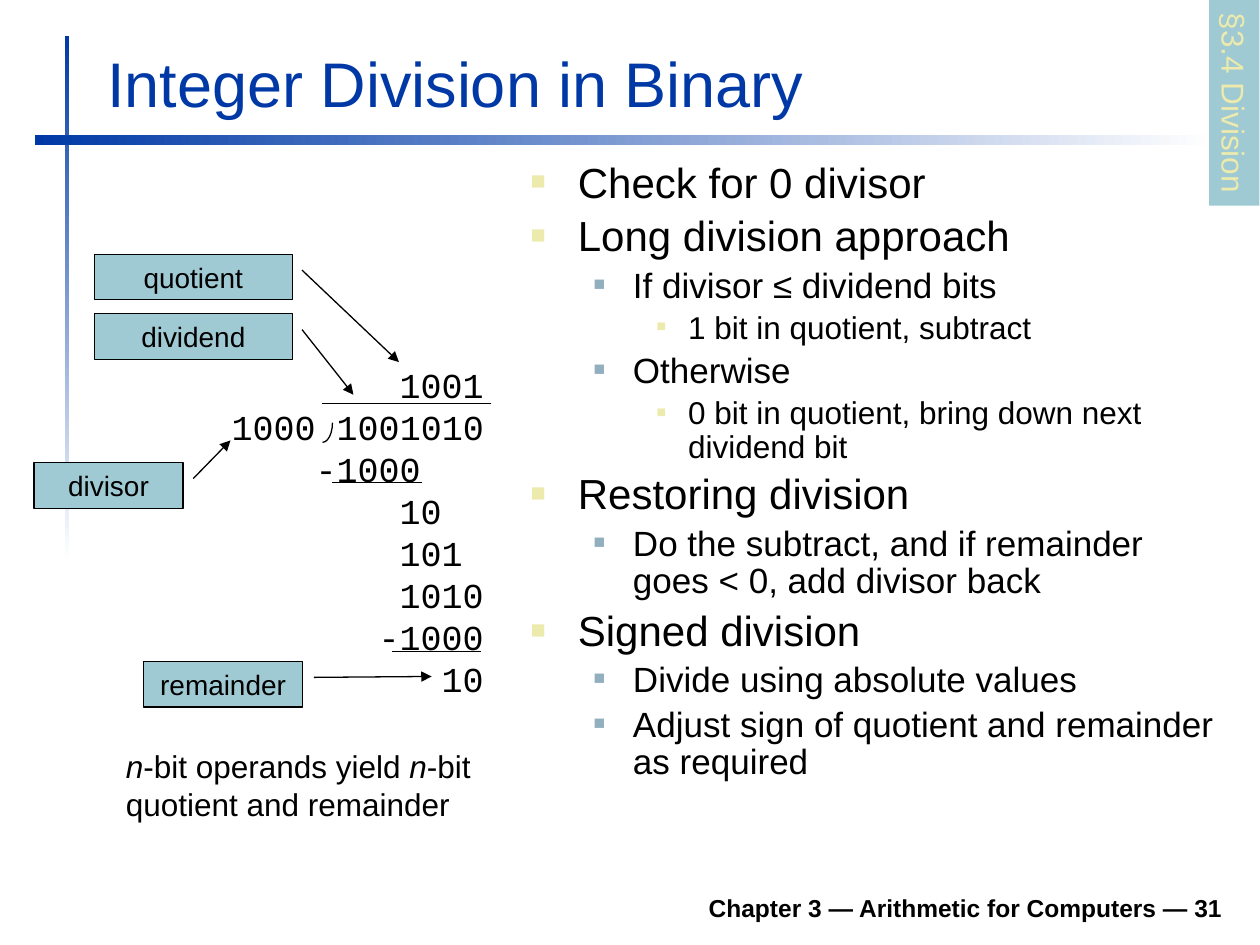
from typing import NamedTuple

from lxml.etree import SubElement
from pptx import Presentation
from pptx.dml.color import RGBColor
from pptx.enum.dml import MSO_LINE
from pptx.enum.shapes import MSO_CONNECTOR, MSO_SHAPE
from pptx.enum.text import MSO_ANCHOR, MSO_AUTO_SIZE, PP_ALIGN
from pptx.oxml.ns import qn
from pptx.util import Pt

BLACK = RGBColor(0x00, 0x00, 0x00)
WHITE = RGBColor(0xFF, 0xFF, 0xFF)
BLUE = RGBColor(0x00, 0x39, 0xA6)
TEAL = RGBColor(0x9F, 0xCA, 0xD3)
CREAM = RGBColor(0xEC, 0xEA, 0xAC)
STEEL = RGBColor(0x91, 0xAF, 0xBF)
SANS = "Arial"
MONO = "Courier New"
DIGIT = 12


class Box(NamedTuple):
    left: float
    top: float
    width: float
    height: float


class Level(NamedTuple):
    size: float
    margin: float
    hang: float
    color: RGBColor
    scale: int


class Item(NamedTuple):
    level: int
    text: str


class Row(NamedTuple):
    shift: int
    text: str


class Callout(NamedTuple):
    text: str
    box: Box
    start: float
    end: tuple[float, float]


LEVELS = [
    Level(24, 27, 27, CREAM, 60),
    Level(20, 58.5, 22.5, STEEL, 55),
    Level(18, 90, 18, CREAM, 50),
]
ITEMS = [
    Item(0, "Check for 0 divisor"),
    Item(0, "Long division approach"),
    Item(1, "If divisor ≤ dividend bits"),
    Item(2, "1 bit in quotient, subtract"),
    Item(1, "Otherwise"),
    Item(2, "0 bit in quotient, bring down next dividend bit"),
    Item(0, "Restoring division"),
    Item(1, "Do the subtract, and if remainder goes < 0, add divisor back"),
    Item(0, "Signed division"),
    Item(1, "Divide using absolute values"),
    Item(1, "Adjust sign of quotient and remainder as required"),
]
ROWS = [
    Row(8, "1001"),
    Row(0, "1000 1001010"),
    Row(4, "-1000"),
    Row(8, "10"),
    Row(8, "101"),
    Row(8, "1010"),
    Row(7, "-1000"),
    Row(10, "10"),
]
CALLOUTS = [
    Callout("quotient", Box(54, 145.3, 113, 26), 1.05, (2.37, 1.54)),
    Callout("dividend", Box(54, 179.3, 113, 26), 1.05, (1.78, 1.31)),
    Callout("remainder", Box(82, 378, 91, 26), 1.07, (0.33, 1.81)),
    Callout("divisor", Box(19.5, 264.4, 85, 26), 1.07, (-0.49, 1.32)),
]
RULES = [(184.3, 280.8, 230.4), (190, 241.2, 275.8), (223.9, 275, 372.2)]


def points(box: Box) -> list:
    return [Pt(side) for side in box]


def place(shape, box: Box) -> None:
    shape.left, shape.top, shape.width, shape.height = points(box)


def write(para, text: str, size: float, color=BLACK, face=SANS, bold=False, slant=False) -> None:
    run = para.add_run()
    run.text = text
    font = run.font
    font.size, font.name, font.bold, font.italic = Pt(size), face, bold, slant
    font.color.rgb = color


def add_box(slide, box: Box, wrap=True):
    frame = slide.shapes.add_textbox(*points(box)).text_frame
    frame.word_wrap = wrap
    return frame


def next_para(frame, index: int):
    return frame.add_paragraph() if index else frame.paragraphs[0]


def add_shape(slide, kind, box: Box):
    shape = slide.shapes.add_shape(kind, *points(box))
    shape.shadow.inherit = False
    return shape


def add_bar(slide, box: Box, angle: int) -> None:
    bar = add_shape(slide, MSO_SHAPE.RECTANGLE, box)
    bar.line.fill.background()
    bar.fill.gradient()
    bar.fill.gradient_angle = angle
    for stop, color in zip(bar.fill.gradient_stops, (BLUE, WHITE)):
        stop.color.rgb = color


def draw_line(line) -> None:
    line.color.rgb = BLACK
    line.width = Pt(0.75)
    line.dash_style = MSO_LINE.SOLID


def add_rule(slide, left: float, right: float, top: float) -> None:
    rule = slide.shapes.add_connector(
        MSO_CONNECTOR.STRAIGHT, Pt(right), Pt(top), Pt(left), Pt(top))
    draw_line(rule.line)
    SubElement(rule._element.spPr, qn("a:effectLst"))


def add_callout(slide, call: Callout) -> None:
    shape = add_shape(slide, MSO_SHAPE.LINE_CALLOUT_1, call.box)
    for index, value in enumerate((0.35, call.start, *call.end)):
        shape.adjustments[index] = value
    shape.fill.solid()
    shape.fill.fore_color.rgb = TEAL
    draw_line(shape.line)
    SubElement(shape.line._get_or_add_ln(), qn("a:tailEnd"), type="triangle")
    frame = shape.text_frame
    frame.vertical_anchor = MSO_ANCHOR.MIDDLE
    para = frame.paragraphs[0]
    para.alignment = PP_ALIGN.CENTER
    write(para, call.text, 16)


def add_item(frame, index: int, item: Item) -> None:
    level = LEVELS[item.level]
    para = next_para(frame, index)
    para.level = item.level
    para.line_spacing = Pt(1.08 * level.size)
    para.space_before = Pt(0.2 * level.size if index else 0)
    props = para._p.get_or_add_pPr()
    props.set("marL", str(Pt(level.margin)))
    props.set("indent", str(-Pt(level.hang)))
    tint = SubElement(props, qn("a:buClr"))
    SubElement(tint, qn("a:srgbClr"), val=str(level.color))
    SubElement(props, qn("a:buSzPct"), val=str(level.scale * 1000))
    SubElement(props, qn("a:buFont"), typeface=SANS)
    SubElement(props, qn("a:buChar"), char="■")
    write(para, item.text, level.size)


def add_row(frame, index: int, row: Row) -> None:
    para = next_para(frame, index)
    para.line_spacing = Pt(24)
    para._p.get_or_add_pPr().set("marL", str(Pt(row.shift * DIGIT)))
    write(para, row.text, 20, face=MONO)


def add_title(slide) -> None:
    title = slide.shapes.title
    place(title, Box(54, 21, 650, 51))
    frame = title.text_frame
    frame.auto_size = MSO_AUTO_SIZE.NONE
    frame.vertical_anchor = MSO_ANCHOR.BOTTOM
    para = frame.paragraphs[0]
    para.alignment = PP_ALIGN.LEFT
    write(para, "Integer Division in Binary", 36, BLUE)


def add_list(slide) -> None:
    body = slide.placeholders[1]
    place(body, Box(296, 88.5, 409.5, 402.5))
    frame = body.text_frame
    frame.auto_size = MSO_AUTO_SIZE.NONE
    for index, item in enumerate(ITEMS):
        add_item(frame, index, item)


def add_sum(slide) -> None:
    frame = add_box(slide, Box(125.3, 204.3, 164, 199.4))
    for index, row in enumerate(ROWS):
        add_row(frame, index, row)
    for left, right, top in RULES:
        add_rule(slide, left, right, top)
    curve = add_shape(slide, MSO_SHAPE.ARC, Box(178.6, 230.4, 11.4, 22.4))
    curve.adjustments[0] = -54
    curve.adjustments[1] = 54
    curve.fill.background()
    draw_line(curve.line)


def add_note(slide) -> None:
    para = add_box(slide, Box(64.8, 423.4, 220, 50.4)).paragraphs[0]
    para.line_spacing = Pt(21.6)
    write(para, "n", 18, slant=True)
    write(para, "-bit operands yield ", 18)
    write(para, "n", 18, slant=True)
    write(para, "-bit", 18)
    para.add_line_break()
    write(para, "quotient and remainder", 18)


def add_tag(slide) -> None:
    tag = add_shape(slide, MSO_SHAPE.RECTANGLE, Box(646.6, 44.4, 117.4, 28.8))
    tag.rotation = 90
    tag.fill.solid()
    tag.fill.fore_color.rgb = TEAL
    tag.line.fill.background()
    frame = tag.text_frame
    frame.word_wrap = False
    para = frame.paragraphs[0]
    para.alignment = PP_ALIGN.LEFT
    write(para, "§3.4 Division", 18, CREAM)


def add_foot(slide) -> None:
    frame = add_box(slide, Box(133.2, 502.5, 572.4, 28))
    frame.vertical_anchor = MSO_ANCHOR.BOTTOM
    para = frame.paragraphs[0]
    para.alignment = PP_ALIGN.RIGHT
    write(para, "Chapter 3 — Arithmetic for Computers — 31", 14, bold=True)


def main() -> None:
    deck = Presentation()
    deck.slide_width, deck.slide_height = Pt(720), Pt(540)
    slide = deck.slides.add_slide(deck.slide_layouts[1])
    add_bar(slide, Box(36.9, 20.4, 2.6, 300), 270)
    add_bar(slide, Box(19.8, 77, 674.6, 5.8), 0)
    add_foot(slide)
    add_title(slide)
    add_list(slide)
    add_sum(slide)
    add_note(slide)
    for call in CALLOUTS:
        add_callout(slide, call)
    add_tag(slide)
    deck.save("out.pptx")


if __name__ == "__main__":
    main()
